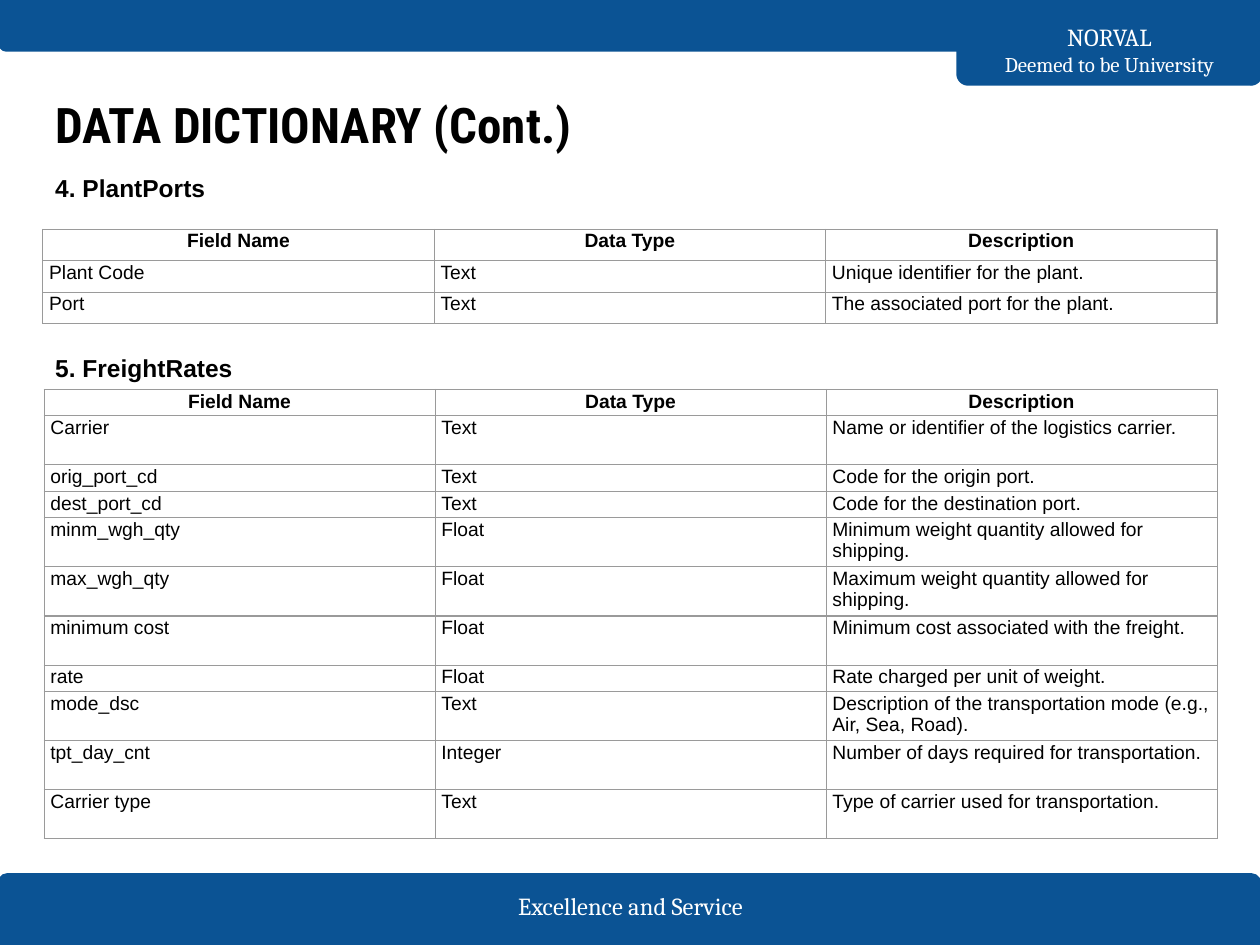
"""Build the data dictionary slide with its two field tables."""
from lxml import etree
from pptx import Presentation
from pptx.dml.color import RGBColor
from pptx.enum.shapes import MSO_SHAPE
from pptx.enum.text import MSO_ANCHOR, PP_ALIGN
from pptx.oxml.ns import qn
from pptx.util import Inches, Pt

BLUE = RGBColor(0x0B, 0x53, 0x94)
WHITE = RGBColor(0xFF, 0xFF, 0xFF)
BLACK = RGBColor(0, 0, 0)
GREY = RGBColor(0x9A, 0x9A, 0x9A)
BAR = MSO_SHAPE.ROUND_2_SAME_RECTANGLE
TOP, MIDDLE = MSO_ANCHOR.TOP, MSO_ANCHOR.MIDDLE
LEFT, CENTER = PP_ALIGN.LEFT, PP_ALIGN.CENTER

WIDTH, HEIGHT = 10, 7.5
MARGIN = 0.34
TABLE_WIDTH = WIDTH - 2 * MARGIN
SHORT_ROW, TALL_ROW = 0.21, 0.39

BARS = [
    ((-0.01, 6.94, 10.01, 0.56), 0),
    ((7.6, 0, 2.41, 0.67), 180),
    ((0, 0, 10.01, 0.4), 180),
]
FOOTER = [("Excellence and Service", 14)]
INSTITUTION = [("NORVAL", 14), ("Deemed to be University", 12)]
TITLE = [("DATA DICTIONARY (Cont.)", 28)]
HEADINGS = [("4. PlantPorts", 14), ("5. FreightRates", 14)]
HEADING_GAP = 86

HEADER = ("Field Name", "Data Type", "Description")
PLANT_PORTS = [
    HEADER,
    ("Plant Code", "Text", "Unique identifier for the plant."),
    ("Port", "Text", "The associated port for the plant."),
]
FREIGHT_RATES = [
    HEADER,
    ("Carrier", "Text", "Name or identifier of the logistics carrier."),
    ("orig_port_cd", "Text", "Code for the origin port."),
    ("dest_port_cd", "Text", "Code for the destination port."),
    ("minm_wgh_qty", "Float", "Minimum weight quantity allowed for shipping."),
    ("max_wgh_qty", "Float", "Maximum weight quantity allowed for shipping."),
    ("minimum cost", "Float", "Minimum cost associated with the freight."),
    ("rate", "Float", "Rate charged per unit of weight."),
    ("mode_dsc", "Text", "Description of the transportation mode (e.g., Air, Sea, Road)."),
    ("tpt_day_cnt", "Integer", "Number of days required for transportation."),
    ("Carrier type", "Text", "Type of carrier used for transportation."),
]
SHORT_FIELDS = {"Field Name", "orig_port_cd", "dest_port_cd", "rate"}


def add_span(para, text, size, font, color, bold=False):
    span = para.add_run()
    span.text = text
    span.font.size = Pt(size)
    span.font.name = font
    span.font.bold = bold
    span.font.color.rgb = color


def add_bar(page, place, rotation):
    bar = page.shapes.add_shape(BAR, *map(Inches, place))
    bar.adjustments[0] = 0.125
    bar.rotation = rotation
    bar.shadow.inherit = False
    bar.fill.solid()
    bar.fill.fore_color.rgb = BLUE
    bar.line.color.rgb = BLUE
    bar.line.width = Pt(1.5)


def add_text(page, place, lines, font, color, align=LEFT, anchor=MIDDLE,
             bold=False, inset=0.1, gap=0):
    frame = page.shapes.add_textbox(*map(Inches, place)).text_frame
    frame.word_wrap = True
    frame.vertical_anchor = anchor
    frame.margin_left = frame.margin_right = Inches(0.1)
    frame.margin_top = frame.margin_bottom = Inches(inset)
    for index, (text, size) in enumerate(lines):
        para = frame.add_paragraph() if index else frame.paragraphs[0]
        para.alignment = align
        para.space_before = Pt(gap if index else 0)
        add_span(para, text, size, font, color, bold)


def add_borders(cell):
    properties = cell._tc.get_or_add_tcPr()
    for position, side in enumerate(("lnL", "lnR", "lnT", "lnB")):
        line = etree.Element(qn(f"a:{side}"), w=str(Pt(0.75)))
        fill = etree.SubElement(line, qn("a:solidFill"))
        etree.SubElement(fill, qn("a:srgbClr"), val=str(GREY))
        properties.insert(position, line)


def add_field_table(page, left, top, width, rows, heights):
    place = map(Inches, (left, top, width, sum(heights)))
    table = page.shapes.add_table(len(rows), len(HEADER), *place).table
    for column in table.columns:
        column.width = Inches(width / len(HEADER))
    for row_index, (row, height) in enumerate(zip(rows, heights)):
        table.rows[row_index].height = Inches(height)
        is_header = row_index == 0
        for column_index, text in enumerate(row):
            cell = table.cell(row_index, column_index)
            cell.fill.background()
            cell.margin_left = cell.margin_right = Inches(0.05)
            cell.margin_top = cell.margin_bottom = Inches(0.01)
            para = cell.text_frame.paragraphs[0]
            para.alignment = CENTER if is_header else LEFT
            add_span(para, text, 11, "Arial", BLACK, is_header)
            add_borders(cell)


def main():
    deck = Presentation()
    deck.slide_width, deck.slide_height = Inches(WIDTH), Inches(HEIGHT)
    page = deck.slides.add_slide(deck.slide_layouts[6])
    for place, rotation in BARS:
        add_bar(page, place, rotation)
    add_text(page, (3.66, 7.03, 2.69, 0.32), FOOTER, "Cambria", WHITE, CENTER)
    add_text(page, (7.6, 0.27, 2.41, 0.25), INSTITUTION, "Cambria", WHITE, CENTER)
    add_text(page, (MARGIN, 0.65, TABLE_WIDTH, 0.83), TITLE, "Roboto Condensed",
             BLACK, anchor=TOP, bold=True)
    add_field_table(page, MARGIN, 1.82, TABLE_WIDTH, PLANT_PORTS,
                    [0.25] * len(PLANT_PORTS))
    add_text(page, (MARGIN, 1.32, 8, 1.77), HEADINGS, "Arial", BLACK,
             bold=True, inset=0.05, gap=HEADING_GAP)
    heights = [SHORT_ROW if row[0] in SHORT_FIELDS else TALL_ROW
               for row in FREIGHT_RATES]
    add_field_table(page, 0.35, 3.09, 9.31, FREIGHT_RATES, heights)
    deck.save("out.pptx")


if __name__ == "__main__":
    main()
